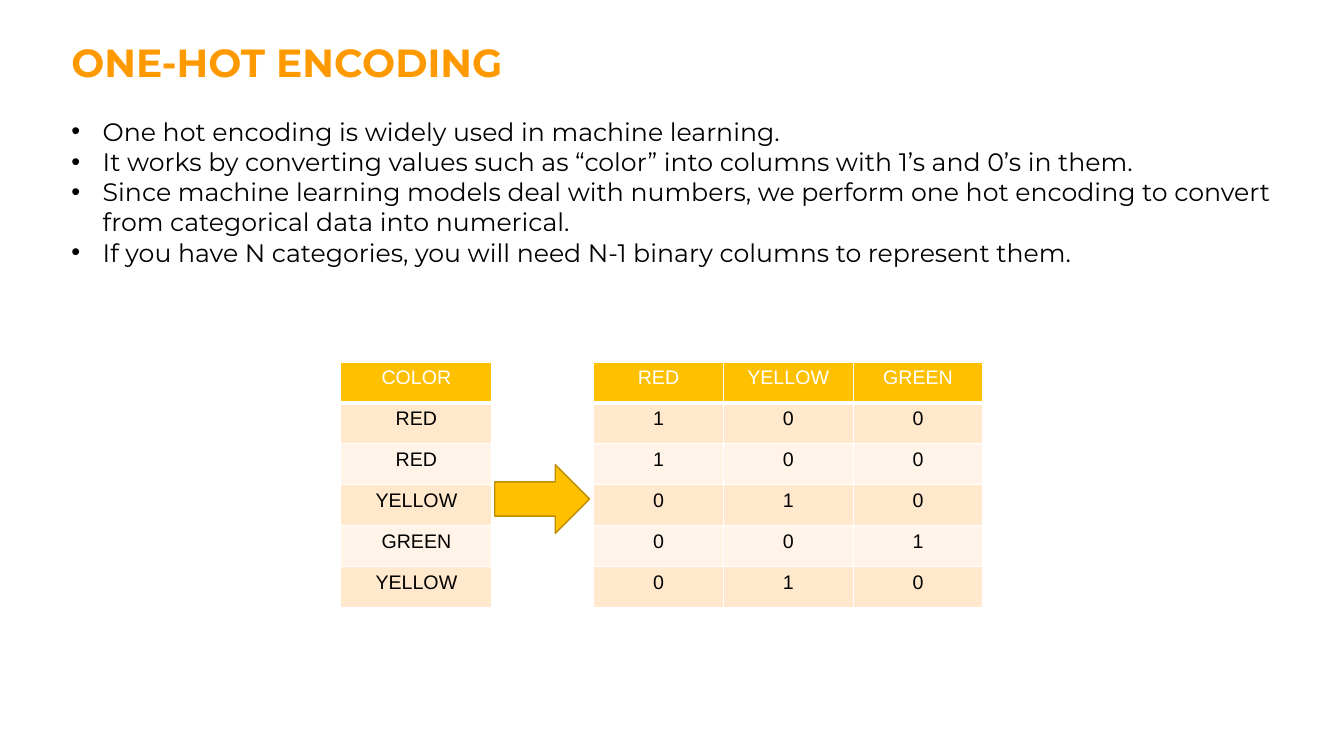
"""Builds a slide that explains one-hot encoding with two tables."""
from lxml import etree
from pptx import Presentation
from pptx.dml.color import RGBColor
from pptx.enum.shapes import MSO_SHAPE
from pptx.enum.text import MSO_AUTO_SIZE, PP_ALIGN
from pptx.oxml import parse_xml
from pptx.oxml.ns import qn
from pptx.util import Cm, Pt

CENTER = PP_ALIGN.CENTER
RIGHT_ARROW = MSO_SHAPE.RIGHT_ARROW
FIT_SHAPE = MSO_AUTO_SIZE.SHAPE_TO_FIT_TEXT
NS = 'xmlns:a="http://schemas.openxmlformats.org/drawingml/2006/main"'


def rgb(value):
    return RGBColor.from_string(value)


class SlideBuilder:
    heading_font, table_font = "Montserrat", "Arial"
    orange, amber, amber_dark = "FF9900", "FFC000", "BD8E00"
    bands = ("FFE8CC", "FFF4E7")
    black, white = "000000", "FFFFFF"
    row_height = 1.03

    def __init__(self, slide):
        self.slide = slide

    def add_run(self, p, text, font, size, color, bold=False):
        r = p.add_run()
        r.text = text
        r.font.name = font
        r.font.size = Pt(size)
        r.font.bold = bold
        r.font.color.rgb = rgb(color)

    def set_bullet(self, p):
        pPr = p._p.get_or_add_pPr()
        pPr.set("marL", str(Cm(0.79)))
        pPr.set("indent", str(-Cm(0.79)))
        color = etree.SubElement(pPr, qn("a:buClr"))
        etree.SubElement(color, qn("a:srgbClr"), val=self.black)
        etree.SubElement(pPr, qn("a:buFont"), typeface=self.table_font)
        etree.SubElement(pPr, qn("a:buChar"), char="•")

    def text(self, x, y, w, h, lines, size, color, bold=False, bullets=False):
        tf = self.slide.shapes.add_textbox(Cm(x), Cm(y), Cm(w), Cm(h)).text_frame
        tf.word_wrap = True
        tf.auto_size = FIT_SHAPE
        for i, line in enumerate(lines):
            p = tf.add_paragraph() if i else tf.paragraphs[0]
            if bullets:
                self.set_bullet(p)
            self.add_run(p, line, self.heading_font, size, color, bold)

    def set_borders(self, cell, bottom):
        tcPr = cell._tc.get_or_add_tcPr()
        for i, (side, width) in enumerate((("L", 1), ("R", 1), ("T", 1), ("B", bottom))):
            tcPr.insert(i, parse_xml(
                f'<a:ln{side} {NS} w="{Pt(width)}"><a:solidFill>'
                f'<a:srgbClr val="{self.white}"/></a:solidFill></a:ln{side}>'))

    def table(self, x, y, col_width, rows):
        n_rows, n_cols = len(rows), len(rows[0])
        table = self.slide.shapes.add_table(
            n_rows, n_cols, Cm(x), Cm(y),
            Cm(col_width * n_cols), Cm(self.row_height * n_rows)).table
        for col in table.columns:
            col.width = Cm(col_width)
        for i, values in enumerate(rows):
            table.rows[i].height = Cm(self.row_height)
            fill = self.bands[(i - 1) % 2] if i else self.amber
            for j, value in enumerate(values):
                cell = table.cell(i, j)
                cell.fill.solid()
                cell.fill.fore_color.rgb = rgb(fill)
                self.set_borders(cell, 1 if i else 3)
                p = cell.text_frame.paragraphs[0]
                p.alignment = CENTER
                self.add_run(p, str(value), self.table_font, 14,
                             self.black if i else self.white)

    def arrow(self, x, y, w, h):
        sp = self.slide.shapes.add_shape(RIGHT_ARROW, Cm(x), Cm(y), Cm(w), Cm(h))
        sp.shadow.inherit = False
        sp.fill.solid()
        sp.fill.fore_color.rgb = rgb(self.amber)
        sp.line.color.rgb = rgb(self.amber_dark)
        sp.line.width = Pt(1)


def main():
    prs = Presentation()
    prs.slide_width, prs.slide_height = Cm(33.87), Cm(19.05)
    s = SlideBuilder(prs.slides.add_slide(prs.slide_layouts[6]))

    s.text(1.55, 0.84, 27.3, 1.45, ["ONE-HOT ENCODING"], 28, s.orange, bold=True)
    s.text(1.55, 2.8, 32.13, 4.11, [
        "One hot encoding is widely used in machine learning.",
        "It works by converting values such as “color” into columns with 1’s and 0’s in them.",
        "Since machine learning models deal with numbers, we perform one hot encoding "
        "to convert from categorical data into numerical.",
        "If you have N categories, you will need N-1 binary columns to represent them.",
    ], 18, s.black, bullets=True)

    categories = ["RED", "YELLOW", "GREEN"]
    colors = ["RED", "RED", "YELLOW", "GREEN", "YELLOW"]
    encoded = [[int(color == category) for category in categories] for color in colors]
    s.table(8.59, 9.12, 3.81, [["COLOR"]] + [[color] for color in colors])
    s.table(14.96, 9.12, 3.27, [categories] + encoded)
    s.arrow(12.47, 11.71, 2.39, 1.73)

    prs.save("out.pptx")


if __name__ == "__main__":
    main()
